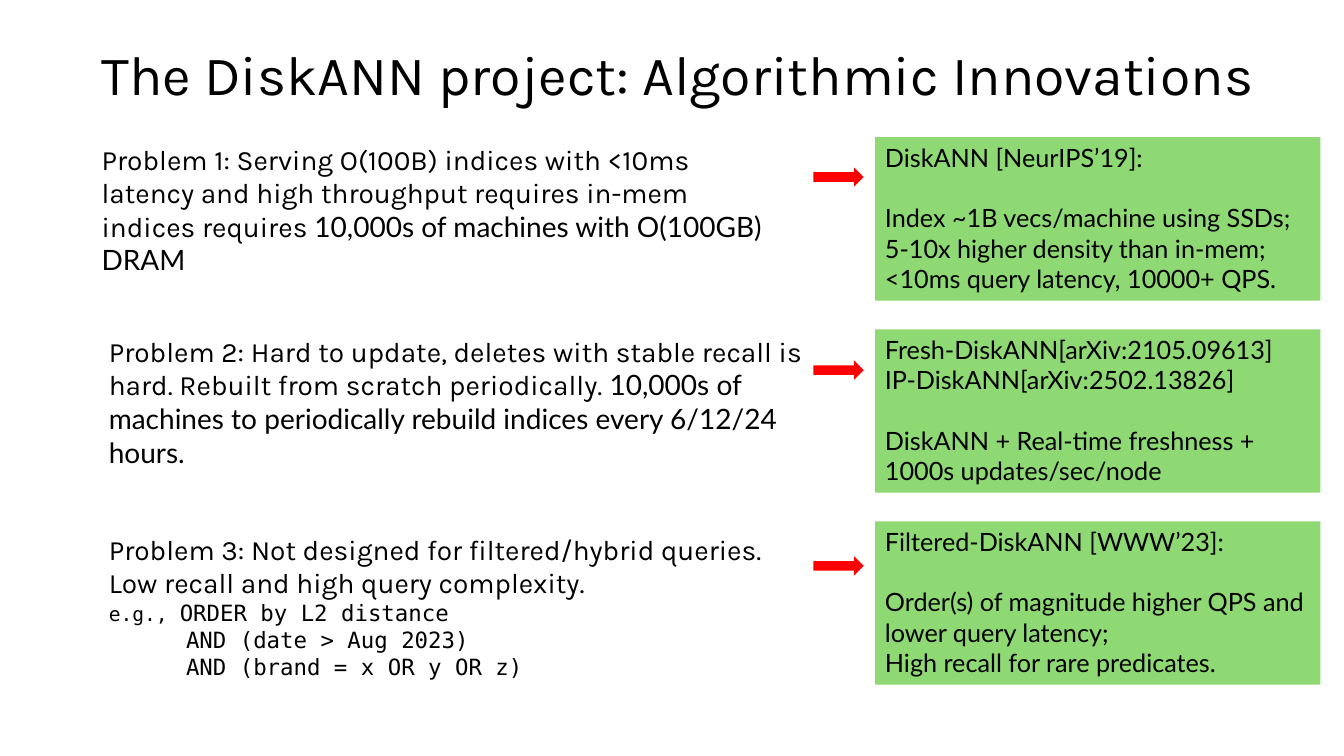
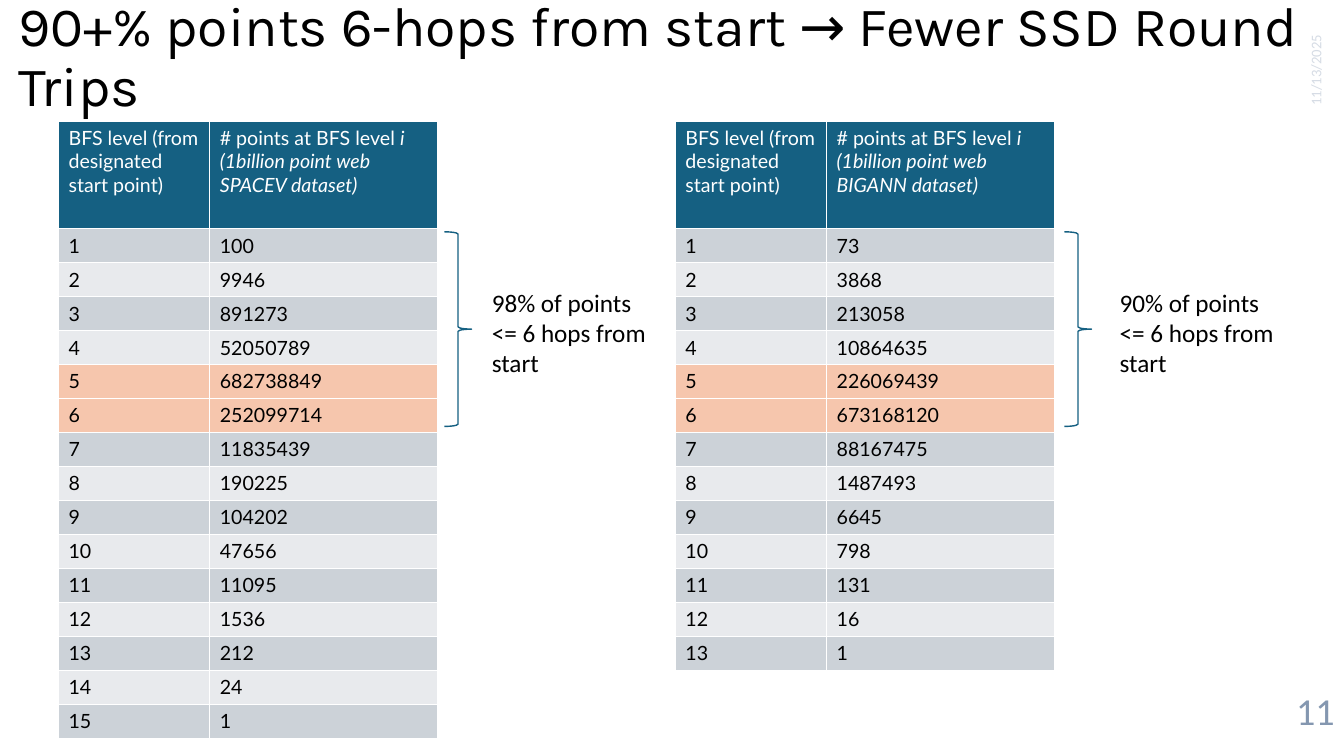
from pptx import Presentation
from pptx.dml.color import RGBColor
from pptx.enum.shapes import MSO_SHAPE
from pptx.enum.text import MSO_ANCHOR, PP_ALIGN
from pptx.util import Pt

BLACK, WHITE, RED, GREEN = "000000", "FFFFFF", "FF0000", "8ED973"
TEAL, DARK_BAND, LIGHT_BAND, PEACH = "156082", "CCD2D8", "E8EAED", "F6C6AD"
DATE_GREY, NUMBER_BLUE = "D6DCE5", "8497B0"
KARLA, LATO, CALIBRI, MONO = "Karla", "Lato", "Calibri", "DejaVu Sans Mono"

PROBLEMS = [
    ((65.5, 0, 494.6), 21.6,
     [[("Problem 1: Serving O(100B) indices with <10ms latency and high throughput "
        "requires in-mem indices requires ", KARLA, 20),
       ("10,000s of machines with O(100GB) DRAM", LATO, 20)]],
     ["DiskANN [NeurIPS’19]:"],
     ["Index ~1B vecs/machine using SSDs;", "5-10x higher density than in-mem;",
      "<10ms query latency, 10000+ QPS."]),
    ((70.6, 0, 510.5), 22.3,
     [[("Problem 2: Hard to update, deletes with stable recall is hard. "
        "Rebuilt from scratch periodically. ", KARLA, 20),
       ("10,000s of machines to periodically rebuild indices every 6/12/24 hours.", LATO, 20)]],
     ["Fresh-DiskANN[arXiv:2105.09613]", "IP-DiskANN[arXiv:2502.13826]"],
     ["DiskANN + Real-time freshness + 1000s updates/sec/node"]),
    ((70.6, 4.2, 510.5), 25,
     [[("Problem 3: Not designed for filtered/hybrid queries. "
        "Low recall and high query complexity.", KARLA, 20)],
      [("e.g., ", MONO, 14), ("ORDER by L2 distance", MONO, 16)],
      [("  AND (date > Aug 2023)", MONO, 16)],
      [("  AND (brand = x OR y OR z)", MONO, 16)]],
     ["Filtered-DiskANN [WWW’23]:"],
     ["Order(s) of magnitude higher QPS and lower query latency;",
      "High recall for rare predicates."]),
]

DATASETS = [
    (41.8, 344.2, "SPACEV", "98%",
     [100, 9946, 891273, 52050789, 682738849, 252099714, 11835439, 190225,
      104202, 47656, 11095, 1536, 212, 24, 1]),
    (482.4, 792.7, "BIGANN", "90%",
     [73, 3868, 213058, 10864635, 226069439, 673168120, 88167475, 1487493,
      6645, 798, 131, 16, 1]),
]


def rgb(color):
    return RGBColor.from_string(color)


def add_run(p, text, font, size, color=BLACK, italic=False):
    r = p.add_run()
    r.text = text
    r.font.name, r.font.size = font, Pt(size)
    r.font.bold, r.font.italic = False, italic
    r.font.color.rgb = rgb(color)


def add_paragraphs(tf, paragraphs):
    for i, runs in enumerate(paragraphs):
        p = tf.paragraphs[0] if i == 0 else tf.add_paragraph()
        p.alignment = PP_ALIGN.LEFT
        for run in runs:
            add_run(p, *run)


def add_text(s, box, paragraphs, anchor=MSO_ANCHOR.TOP):
    sp = s.shapes.add_textbox(*map(Pt, box))
    tf = sp.text_frame
    tf.word_wrap = True
    tf.vertical_anchor = anchor
    add_paragraphs(tf, paragraphs)
    return sp


def add_shape(s, kind, box, fill=None, line=None):
    sp = s.shapes.add_shape(kind, *map(Pt, box))
    sp.shadow.inherit = False
    if fill:
        sp.fill.solid()
        sp.fill.fore_color.rgb = rgb(fill)
    else:
        sp.fill.background()
    if line:
        sp.line.color.rgb = rgb(line)
        sp.line.width = Pt(1)
    else:
        sp.line.fill.background()
    return sp


def add_title(s, box, text):
    sp = add_text(s, box, [[(text, KARLA, 39.6)]], MSO_ANCHOR.MIDDLE)
    sp.text_frame.paragraphs[0].line_spacing = 0.9


def add_footer(s, date, number):
    sp = add_text(s, (864.7, 78.5, 149.8, 28.8), [[(date, CALIBRI, 10.5, DATE_GREY)]],
                  MSO_ANCHOR.MIDDLE)
    sp.rotation = 270
    sp.text_frame.paragraphs[0].alignment = PP_ALIGN.RIGHT
    sp = add_text(s, (918, 486, 43.2, 46.8), [[(number, CALIBRI, 27.2, NUMBER_BLUE)]],
                  MSO_ANCHOR.MIDDLE)
    p = sp.text_frame.paragraphs[0]
    p.alignment = PP_ALIGN.CENTER
    p.line_spacing = 0.9


def add_problem_row(s, y, text_box, arrow_dy, problem, papers, results):
    x, dy, w = text_box
    sp = add_text(s, (x, y + dy, w, 80), problem)
    for p in sp.text_frame.paragraphs[2:]:
        p.level = 1
        p._p.get_or_add_pPr().set("marL", str(Pt(36)))
    add_shape(s, MSO_SHAPE.RIGHT_ARROW, (581, y + arrow_dy, 36, 13.7), RED)
    sp = add_shape(s, MSO_SHAPE.RECTANGLE, (625, y, 318.2, 116.7), GREEN)
    tf = sp.text_frame
    tf.word_wrap = True
    tf.vertical_anchor = MSO_ANCHOR.TOP
    add_paragraphs(tf, [[(line, LATO, 18)] for line in papers + results])
    tf.paragraphs[len(papers)].space_before = Pt(21.6)


def fill_cell(cell, fill, runs):
    cell.fill.solid()
    cell.fill.fore_color.rgb = rgb(fill)
    add_paragraphs(cell.text_frame, [runs])


def add_level_table(s, x, y, dataset, counts):
    head_h, row_h, widths = 77, 24.27, (108, 162.7)
    frame = s.shapes.add_table(len(counts) + 1, 2, Pt(x), Pt(y), Pt(sum(widths)),
                               Pt(head_h + row_h * len(counts)))
    table = frame.table
    for col, width in zip(table.columns, widths):
        col.width = Pt(width)
    for i, row in enumerate(table.rows):
        row.height = Pt(row_h if i else head_h)
    fill_cell(table.cell(0, 0), TEAL,
              [("BFS level (from designated start point)", LATO, 14, WHITE)])
    fill_cell(table.cell(0, 1), TEAL,
              [("# points at BFS level ", LATO, 14, WHITE),
               (f"i (1billion point web {dataset} dataset)", LATO, 14, WHITE, True)])
    for level, count in enumerate(counts, 1):
        fill = PEACH if level in (5, 6) else DARK_BAND if level % 2 else LIGHT_BAND
        for col, value in enumerate((level, count)):
            fill_cell(table.cell(level, col), fill, [(str(value), LATO, 14)])


def add_dataset(s, x, note_x, dataset, share, counts):
    y = 86.4
    add_level_table(s, x, y, dataset, counts)
    brace_x = x + (275.7 if dataset == "SPACEV" else 277.9)
    add_shape(s, MSO_SHAPE.RIGHT_BRACE, (brace_x, y + 79.2, 19.4, 139), line=TEAL)
    add_text(s, (note_x, y + 115.2, 125.3, 72.7),
             [[(f"{share} of points <= 6 hops from start", CALIBRI, 18)]])


def build_innovations(prs):
    s = prs.slides.add_slide(prs.slide_layouts[6])
    add_title(s, (65.5, 28.8, 859.7, 53.3), "The DiskANN project: Algorithmic Innovations")
    for i, row in enumerate(PROBLEMS):
        add_problem_row(s, 98 + 137.2 * i, *row)


def build_hops(prs):
    s = prs.slides.add_slide(prs.slide_layouts[6])
    add_title(s, (5.8, 8.6, 943.2, 67),
              "90+% points 6-hops from start → Fewer SSD Round Trips")
    for dataset in DATASETS:
        add_dataset(s, *dataset)
    add_footer(s, "11/13/2025", "11")


def main():
    prs = Presentation()
    prs.slide_width, prs.slide_height = Pt(960), Pt(540)
    build_innovations(prs)
    build_hops(prs)
    prs.save("out.pptx")


if __name__ == "__main__":
    main()
